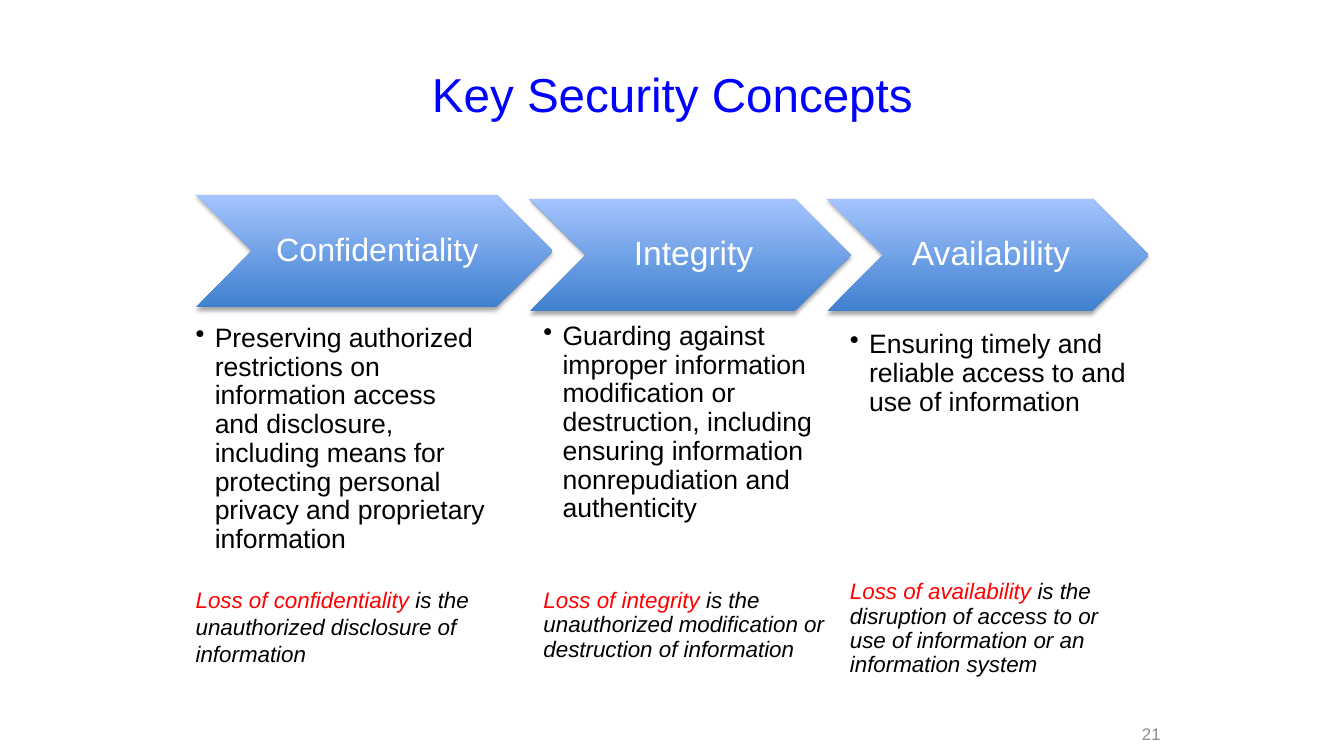
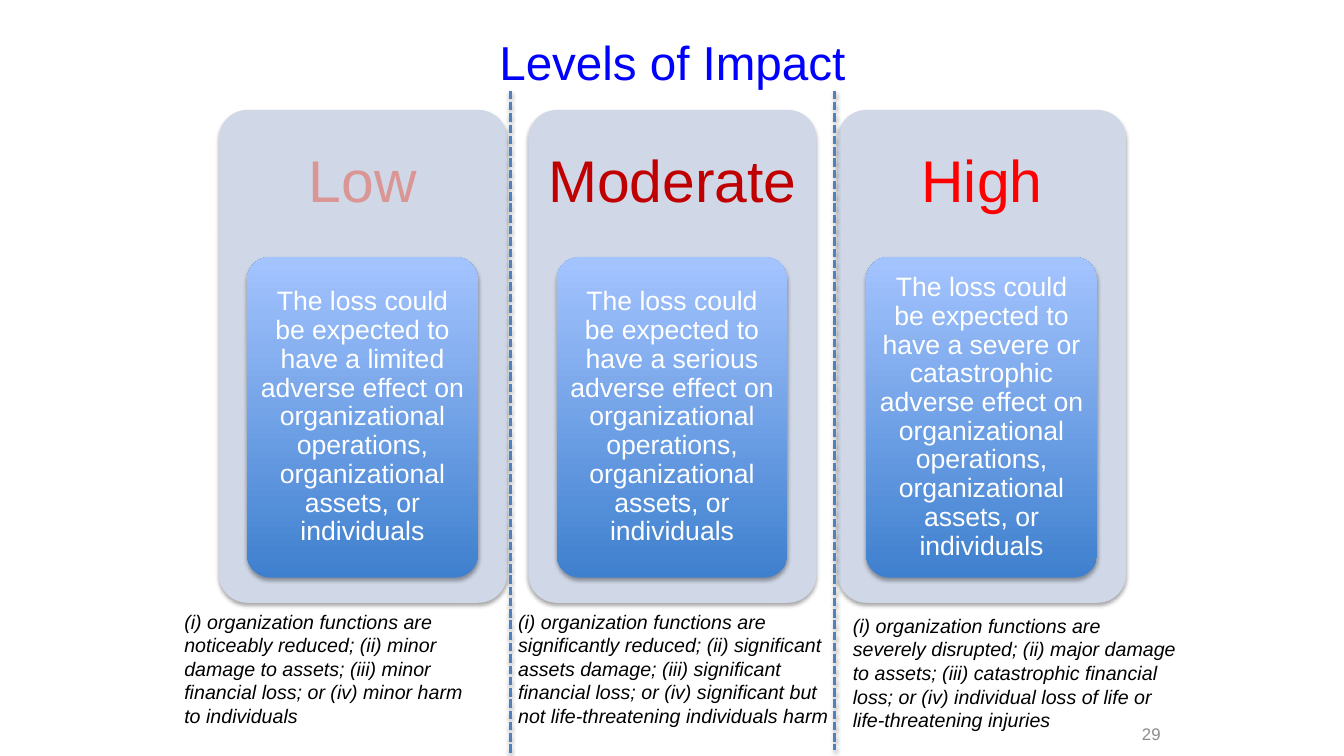
import pptx
import pptx.util
import pptx.dml.color
import pptx.enum.dml
import pptx.enum.shapes
import pptx.enum.text
import pptx.oxml
import pptx.oxml.ns

Inches = pptx.util.Inches
Pt = pptx.util.Pt
rgb = pptx.dml.color.RGBColor.from_string
Shapes = pptx.enum.shapes.MSO_SHAPE
Align = pptx.enum.text.PP_ALIGN
Anchor = pptx.enum.text.MSO_ANCHOR

FONT = "Arial"
TITLE_BLUE, FOOTER_GRAY, LINE_BLUE = "0000FF", "8C8C8C", "4F81BD"
BLACK, WHITE, RED = "000000", "FFFFFF", "FF0000"
PANEL = "D0D8E8"
GRADIENT = ("3F80CE", "A4C4FF")
SHADOW = (
    '<a:effectLst %s><a:outerShdw blurRad="39370" dist="22860" dir="5400000" rotWithShape="0">'
    '<a:srgbClr val="000000"><a:alpha val="35000"/></a:srgbClr></a:outerShdw></a:effectLst>'
    % pptx.oxml.ns.nsdecls("a")
)


def add_block(slide, box, kind=None, fill=None, anchor=Anchor.MIDDLE, insets=(0.1, 0.05, 0.1, 0.05)):
    """Add a text box, or a shadowed shape if kind is given; return its text frame."""
    place = [Inches(length) for length in box]
    if kind is None:
        block = slide.shapes.add_textbox(*place)
    else:
        block = slide.shapes.add_shape(kind, *place)
        if kind == Shapes.ROUNDED_RECTANGLE:
            block.adjustments[0] = 0.1
        if isinstance(fill, tuple):
            block.fill.gradient()
            block.fill.gradient_angle = 90
            for stop, color in zip(block.fill.gradient_stops, fill):
                stop.color.rgb = rgb(color)
        else:
            block.fill.solid()
            block.fill.fore_color.rgb = rgb(fill)
        block.line.fill.background()
        block._element.spPr.append(pptx.oxml.parse_xml(SHADOW))
    frame = block.text_frame
    frame.word_wrap = True
    frame.vertical_anchor = anchor
    frame.margin_left, frame.margin_top, frame.margin_right, frame.margin_bottom = map(Inches, insets)
    return frame


def write(paragraph, runs, size, align=Align.LEFT, spacing=1.0, italic=False):
    """Fill a paragraph with (text, colour) runs."""
    paragraph.alignment = align
    paragraph.line_spacing = spacing
    for text, color in runs:
        run = paragraph.add_run()
        run.text = text
        run.font.name = FONT
        run.font.size = Pt(size)
        run.font.italic = italic
        run.font.color.rgb = rgb(color)


deck = pptx.Presentation()
deck.slide_width, deck.slide_height = Inches(13.33), Inches(7.5)

slides = []
for title, title_top, number in [("Key Security Concepts", 0.3, "21"), ("Levels of Impact", -0.02, "29")]:
    slide = deck.slides.add_slide(deck.slide_layouts[6])
    heading = add_block(slide, (0.67, title_top, 12, 1.25))
    write(heading.paragraphs[0], [(title, TITLE_BLUE)], 34, Align.CENTER)
    footer = add_block(slide, (10.93, 7.2, 0.68, 0.15), insets=(0.1, 0, 0.1, 0))
    write(footer.paragraphs[0], [(number, FOOTER_GRAY)], 12, Align.RIGHT)
    slides.append(slide)
concepts_slide, impact_slide = slides

# Key concepts: name, size, chevron left, top, width; text left, top;
# definition; loss and its meaning; gap before the loss in points, line spacing
concepts = [
    ("Confidentiality", 23, 1.94, 1.93, 3.54, 1.94, 3.22,
     "Preserving authorized restrictions on information access and disclosure, "
     "including means for protecting personal privacy and proprietary information",
     "Loss of confidentiality ", "is the unauthorized disclosure of information", 23, 1.0),
    ("Integrity", 24, 5.25, 1.97, 3.19, 5.39, 3.2,
     "Guarding against improper information modification or destruction, "
     "including ensuring information nonrepudiation and authenticity",
     "Loss of integrity ", "is the unauthorized modification or destruction of information", 47, 0.9),
    ("Availability", 24, 8.2, 1.97, 3.19, 8.43, 3.28,
     "Ensuring timely and reliable access to and use of information",
     "Loss of availability ",
     "is the disruption of access to or use of information or an information system", 117, 0.9),
]
for (name, size, left, top, width, text_left, text_top,
     definition, loss, meaning, gap, spacing) in concepts:
    chevron = add_block(concepts_slide, (left, top, width, 1.12), Shapes.CHEVRON, GRADIENT,
                        insets=(0.1, 0.03, 0.03, 0.03))
    write(chevron.paragraphs[0], [(name, WHITE)], size, Align.CENTER, 0.9)

    details = add_block(concepts_slide, (text_left, text_top, 2.87, 3.8),
                        anchor=Anchor.TOP, insets=(0, 0, 0, 0))
    bullet = details.paragraphs[0]
    properties = bullet._p.get_or_add_pPr()
    properties.set("marL", str(Inches(0.19)))
    properties.set("indent", str(-Inches(0.19)))
    properties.append(pptx.oxml.parse_xml('<a:buChar %s char="•"/>' % pptx.oxml.ns.nsdecls("a")))
    write(bullet, [(definition, BLACK)], 19, spacing=0.9)
    consequence = details.add_paragraph()
    consequence.space_before = Pt(gap)
    write(consequence, [(loss, RED), (meaning, BLACK)], 16, spacing=spacing, italic=True)

# Levels of impact: name, colour, effect; left, top, width of the examples; examples
levels = [
    ("Low", "D99694", "limited", 1.73, 6, 2.97,
     "noticeably reduced; (ii) minor damage to assets; (iii) minor financial loss; "
     "or (iv) minor harm to individuals"),
    ("Moderate", "C00000", "serious", 5.04, 6, 3.42,
     "significantly reduced; (ii) significant assets damage; (iii) significant financial loss; "
     "or (iv) significant but not life-threatening individuals harm"),
    ("High", RED, "severe or catastrophic", 8.36, 6.04, 3.42,
     "severely disrupted; (ii) major damage to assets; (iii) catastrophic financial loss; "
     "or (iv) individual loss of life or life-threatening injuries"),
]
for column, (name, color, effect, examples_left, examples_top, examples_width, examples) in enumerate(levels):
    left = 2.17 + 3.07 * column
    add_block(impact_slide, (left, 1.09, 2.86, 4.89), Shapes.ROUNDED_RECTANGLE, PANEL)
    level = add_block(impact_slide, (left, 1.09, 2.86, 1.47), insets=(0.17,) * 4)
    write(level.paragraphs[0], [(name, color)], 42, Align.CENTER, 0.9)
    card = add_block(impact_slide, (left + 0.28, 2.55, 2.29, 3.18), Shapes.ROUNDED_RECTANGLE, GRADIENT,
                     insets=(0.05, 0.04, 0.05, 0.04))
    expectation = (f"The loss could be expected to have a {effect} adverse effect on "
                   "organizational operations, organizational assets, or individuals")
    write(card.paragraphs[0], [(expectation, WHITE)], 19, Align.CENTER, 0.9)
    caption = add_block(impact_slide, (examples_left, examples_top, examples_width, 1.28), anchor=Anchor.TOP)
    write(caption.paragraphs[0], [("(i) organization functions are " + examples, BLACK)], 14, italic=True)

for x, bottom in [(5.06, 7.5), (8.28, 7.44)]:
    divider = impact_slide.shapes.add_connector(
        pptx.enum.shapes.MSO_CONNECTOR.STRAIGHT, Inches(x), Inches(0.9), Inches(x), Inches(bottom))
    divider.line.color.rgb = rgb(LINE_BLUE)
    divider.line.width = Pt(2)
    divider.line.dash_style = pptx.enum.dml.MSO_LINE.SQUARE_DOT
    divider._element.spPr.append(pptx.oxml.parse_xml(SHADOW))

deck.save("out.pptx")
